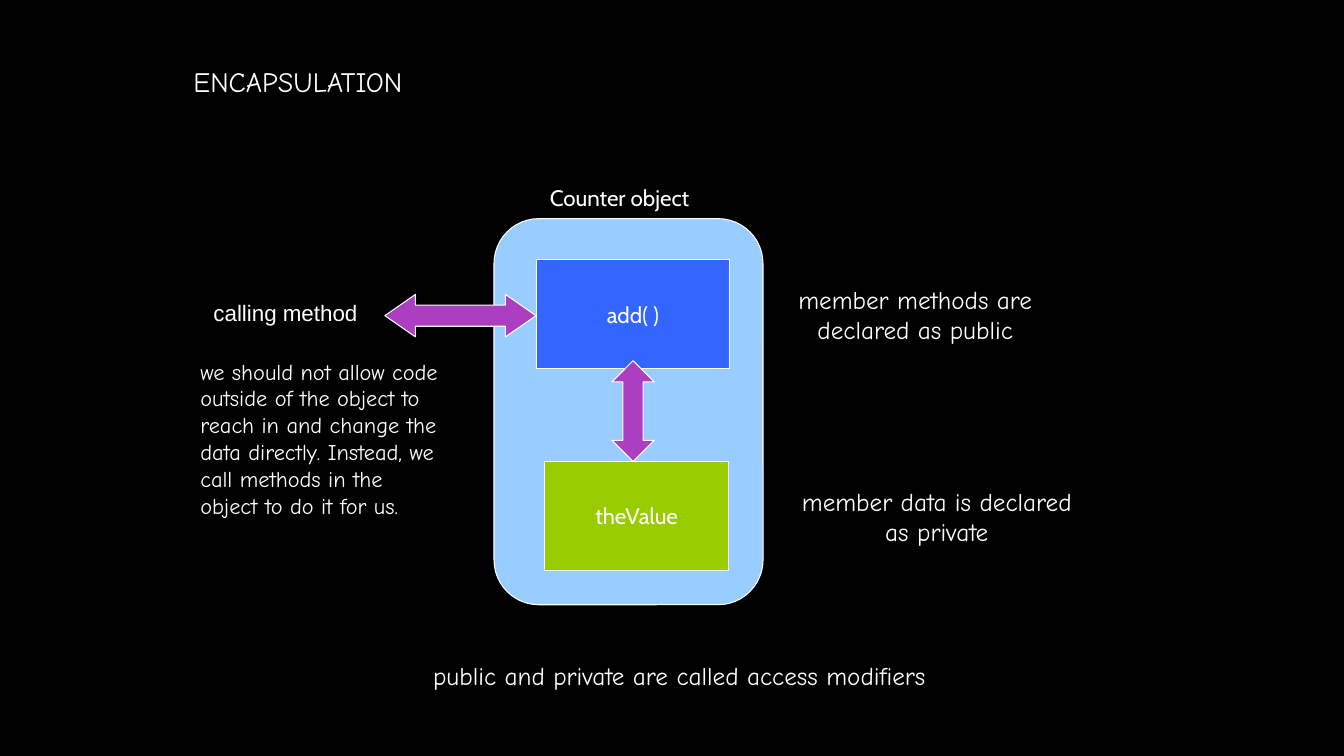
"""Build the slide that explains encapsulation with a Counter object."""
from pptx import Presentation
from pptx.dml.color import RGBColor
from pptx.enum.shapes import MSO_SHAPE as Preset
from pptx.enum.text import MSO_ANCHOR as Anchor, MSO_AUTO_SIZE as AutoSize, PP_ALIGN as Align
from pptx.util import Cm, Pt

BLACK = RGBColor(0x00, 0x00, 0x00)
WHITE = RGBColor(0xFF, 0xFF, 0xFF)
SKY = RGBColor(0x99, 0xCC, 0xFF)
BLUE = RGBColor(0x33, 0x66, 0xFF)
GREEN = RGBColor(0x99, 0xCC, 0x00)
PURPLE = RGBColor(0xAC, 0x3E, 0xC1)

HAND, SANS, PLAIN = "Comic Neue", "Cabin", "Arial"

TITLE = ("ENCAPSULATION", (4.62, 1.47, 7.04, 1.17))

SHAPES = [
    (Preset.ROUNDED_RECTANGLE, (12.45, 5.51, 6.78, 9.73), SKY, (0.167,), ""),
    (Preset.RECTANGLE, (13.51, 6.55, 4.88, 2.74), BLUE, (), "add( )"),
    (Preset.RECTANGLE, (13.72, 11.63, 4.65, 2.74), GREEN, (), "theValue"),
    (Preset.LEFT_RIGHT_ARROW, (9.7, 7.42, 3.81, 1.07), PURPLE, (0.5, 0.72), ""),
    (Preset.UP_DOWN_ARROW, (15.42, 9.09, 1.07, 2.54), PURPLE, (0.5, 0.48), ""),
]

LABELS = [
    (["Counter object"], (13.61, 4.52, 4.39, 0.94), SANS, 16, Align.LEFT, False),
    (["calling method"], (5.13, 7.42, 4.14, 0.94), PLAIN, 16, Align.LEFT, False),
    (["we should not allow code",
      "outside of the object to reach in and change the data directly. "
      "Instead, we call methods in the",
      "object to do it for us."], (4.8, 8.89, 7.32, 4.37), HAND, 16, Align.LEFT, True),
    (["member methods are", "declared as public"],
     (19.56, 7.04, 7.01, 1.8), HAND, 18, Align.CENTER, False),
    (["member data is declared", "as private"],
     (19.56, 12.12, 8.1, 1.8), HAND, 18, Align.CENTER, False),
    (["public and private are called access modifiers"],
     (10.06, 16.51, 14.12, 1.02), HAND, 18, Align.CENTER, False),
]


def write(frame, lines, font, size, align):
    """Fill a text frame with one paragraph per line."""
    frame.text = "\n".join(lines)
    for para in frame.paragraphs:
        para.alignment = align
        para.font.name = font
        para.font.size = Pt(size)
        para.font.color.rgb = WHITE


def add_title(page):
    """Place and format the title placeholder."""
    text, place = TITLE
    title = page.shapes.title
    title.left, title.top, title.width, title.height = map(Cm, place)
    frame = title.text_frame
    write(frame, [text], HAND, 20, Align.LEFT)
    frame.vertical_anchor = Anchor.MIDDLE
    frame.auto_size = AutoSize.NONE


def add_part(page, preset, place, fill, adjustments, text):
    """Draw one outlined shape of the diagram."""
    part = page.shapes.add_shape(preset, *map(Cm, place))
    part.shadow.inherit = False
    part.fill.solid()
    part.fill.fore_color.rgb = fill
    part.line.color.rgb = WHITE
    part.line.width = Pt(0.75)
    for index, value in enumerate(adjustments):
        part.adjustments[index] = value
    if text:
        frame = part.text_frame
        frame.word_wrap = False
        frame.vertical_anchor = Anchor.MIDDLE
        write(frame, [text], SANS, 16, Align.CENTER)


def add_label(page, lines, place, font, size, align, wrap):
    """Add one text box."""
    frame = page.shapes.add_textbox(*map(Cm, place)).text_frame
    frame.word_wrap = wrap
    frame.auto_size = AutoSize.SHAPE_TO_FIT_TEXT
    write(frame, lines, font, size, align)


def main():
    """Assemble and save the slide."""
    deck = Presentation()
    deck.slide_width, deck.slide_height = Cm(33.87), Cm(19.05)
    page = deck.slides.add_slide(deck.slide_layouts[5])
    page.background.fill.solid()
    page.background.fill.fore_color.rgb = BLACK
    add_title(page)
    for part in SHAPES:
        add_part(page, *part)
    for label in LABELS:
        add_label(page, *label)
    deck.save("out.pptx")


if __name__ == "__main__":
    main()
